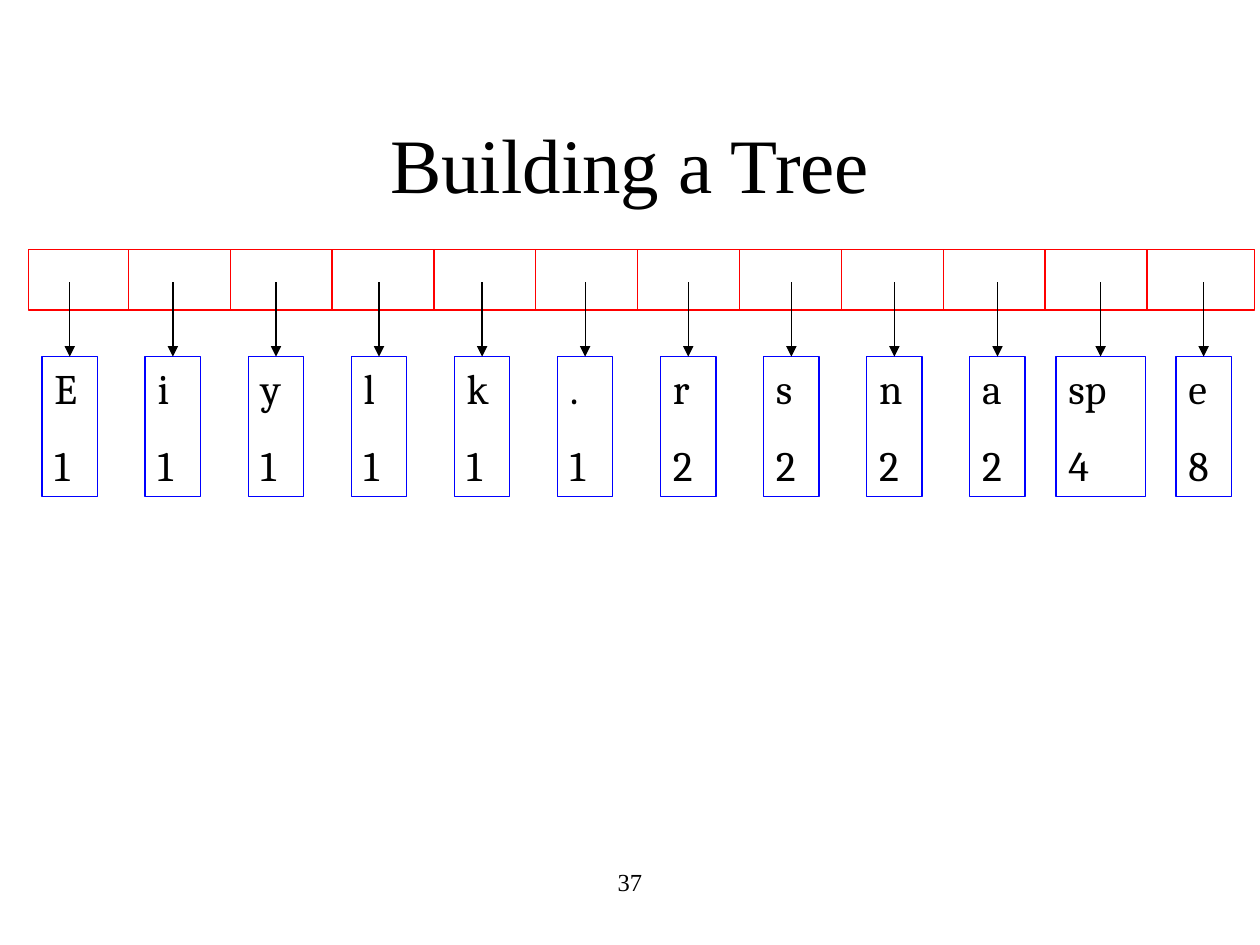
"""Build the slide that shows a queue of letter counts before the tree is made."""
from typing import NamedTuple

from lxml.etree import SubElement
from pptx import Presentation
from pptx.dml.color import RGBColor
from pptx.enum.shapes import MSO_CONNECTOR, MSO_SHAPE
from pptx.enum.text import MSO_ANCHOR, MSO_AUTO_SIZE, PP_ALIGN
from pptx.oxml.ns import qn
from pptx.util import Pt

HUES = {"ink": "000000", "paper": "FFFFFF", "queue": "FF0000", "node": "0000FF"}
SERIF = "Times New Roman"
TOP, BASE = 142.6, 177.1
SPLIT, CELL = 73.4, 58.2
MID, STEP = 39.9, 58.9
START, HEAD, TALL = 161.3, 203.8, 79.9


class Node(NamedTuple):
    sign: str
    count: int
    width: float = 31.7


NODES = [
    Node("E", 1), Node("i", 1), Node("y", 1), Node("l", 1),
    Node("k", 1), Node(".", 1), Node("r", 2), Node("s", 2),
    Node("n", 2), Node("a", 2), Node("sp", 4, 51.1), Node("e", 8),
]


def hue(name: str) -> RGBColor:
    """Return the named colour."""
    return RGBColor.from_string(HUES[name])


def write(para, text: str, size: float, font: str, align=PP_ALIGN.LEFT) -> None:
    """Add one run to a paragraph."""
    para.alignment = align
    run = para.add_run()
    run.text = text
    run.font.size = Pt(size)
    run.font.name = font
    run.font.color.rgb = hue("ink")


def label(slide, text: str, size: float, box: tuple, anchor) -> None:
    """Add a centred text box."""
    frame = slide.shapes.add_textbox(*map(Pt, box)).text_frame
    frame.word_wrap = True
    frame.vertical_anchor = anchor
    write(frame.paragraphs[0], text, size, SERIF, PP_ALIGN.CENTER)


def rect(slide, box: tuple, edge: str):
    """Add an unfilled rectangle with a thin edge."""
    shape = slide.shapes.add_shape(MSO_SHAPE.RECTANGLE, *map(Pt, box))
    shape.shadow.inherit = False
    shape.fill.background()
    shape.line.color.rgb = hue(edge)
    shape.line.width = Pt(0.75)
    return shape


def rule(slide, left: float, top: float, base: float, color: str):
    """Add a thin upright line."""
    line = slide.shapes.add_connector(
        MSO_CONNECTOR.STRAIGHT, Pt(left), Pt(top), Pt(left), Pt(base))
    line.line.color.rgb = hue(color)
    line.line.width = Pt(0.75)
    SubElement(line.element.spPr, qn("a:effectLst"))
    return line


def draw(slide, node: Node, mid: float) -> None:
    """Draw a node and the arrow that leads to it."""
    shape = rect(slide, (mid - node.width / 2, HEAD, node.width, TALL), "node")
    frame = shape.text_frame
    frame.word_wrap = True
    frame.vertical_anchor = MSO_ANCHOR.TOP
    frame.auto_size = MSO_AUTO_SIZE.SHAPE_TO_FIT_TEXT
    write(frame.paragraphs[0], node.sign, 24, "Cambria")
    para = frame.add_paragraph()
    para.space_before = Pt(15)
    write(para, str(node.count), 24, "Cambria")
    arrow = rule(slide, mid, START, HEAD, "ink")
    arrow.end_connect(shape, 0)
    SubElement(arrow.line._get_or_add_ln(), qn("a:tailEnd"), type="triangle")


def main() -> None:
    """Build and save the slide."""
    deck = Presentation()
    deck.slide_width, deck.slide_height = Pt(720), Pt(540)
    slide = deck.slides.add_slide(deck.slide_layouts[6])
    label(slide, "Building a Tree", 44, (54, 48, 612, 90), MSO_ANCHOR.MIDDLE)
    queue = rect(slide, (16.4, TOP, 700.6, BASE - TOP), "queue")
    queue.fill.solid()
    queue.fill.fore_color.rgb = hue("paper")
    for i in range(len(NODES) - 1):
        rule(slide, SPLIT + i * CELL, TOP, BASE, "queue")
    for i, node in enumerate(NODES):
        draw(slide, node, MID + i * STEP)
    label(slide, "37", 14, (246, 492, 228, 36), MSO_ANCHOR.TOP)
    deck.save("out.pptx")


if __name__ == "__main__":
    main()
